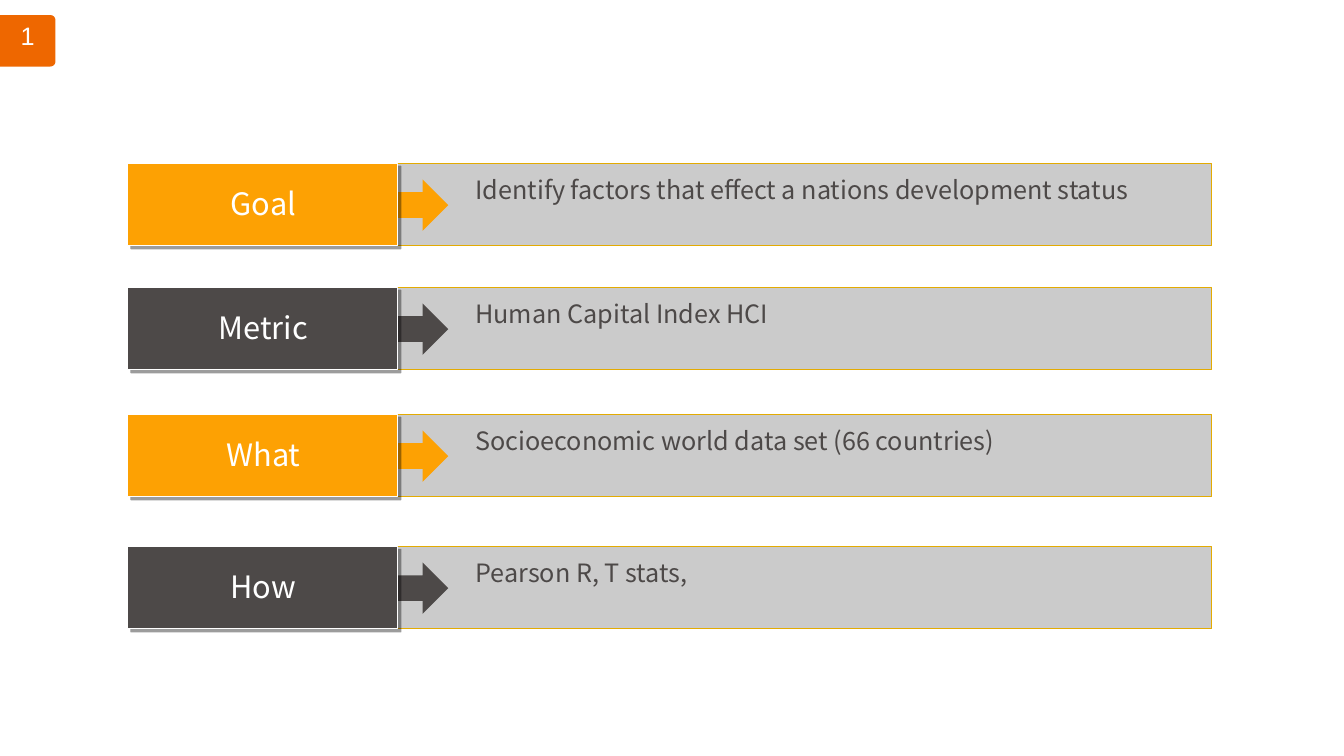
from dataclasses import dataclass
from math import cos, pi, sin

from lxml.etree import SubElement
from pptx import Presentation
from pptx.dml.color import RGBColor
from pptx.enum.shapes import MSO_SHAPE
from pptx.enum.text import MSO_ANCHOR, MSO_AUTO_SIZE, PP_ALIGN
from pptx.oxml.ns import qn
from pptx.util import Inches, Pt


@dataclass(frozen=True)
class Theme:
    """Colours, fonts and type sizes of the slide."""
    badge: str = "EE6700"
    amber: str = "FDA103"
    charcoal: str = "4D4948"
    bar: str = "CBCBCB"
    bar_edge: str = "E3AB02"
    white: str = "FFFFFF"
    shadow: str = "000000"
    number_font: str = "Arial"
    text_font: str = "Noto Sans CJK SC"
    label_size: int = 22
    body_size: int = 18
    edge_width: float = 0.75


THEME = Theme()

ROWS = [
    (1.62, "Goal", "Identify factors that effect a nations development status", THEME.amber),
    (2.85, "Metric", "Human Capital Index HCI", THEME.charcoal),
    (4.11, "What", "Socioeconomic world data set (66 countries)", THEME.amber),
    (5.42, "How", "Pearson R, T stats,", THEME.charcoal),
]


def paint(shape, fill, edge=None):
    """Give a shape a flat fill, an optional edge and no shadow."""
    shape.shadow.inherit = False
    shape.fill.solid()
    shape.fill.fore_color.rgb = RGBColor.from_string(fill)
    if edge:
        shape.line.color.rgb = RGBColor.from_string(edge)
        shape.line.width = Pt(THEME.edge_width)
    else:
        shape.line.fill.background()


def cast_shadow(shape):
    """Add a hard shadow towards the lower right."""
    effects = shape._element.spPr.find(qn("a:effectLst"))
    shadow = SubElement(effects, qn("a:outerShdw"), blurRad="0", dist=str(Pt(3)),
                        dir="2700000", algn="tl", rotWithShape="0")
    color = SubElement(shadow, qn("a:srgbClr"), val=THEME.shadow)
    SubElement(color, qn("a:alpha"), val="38000")


def write(frame, text, size, color, font, align):
    """Write one line of text into a frame."""
    frame.word_wrap = True
    frame.vertical_anchor = MSO_ANCHOR.TOP
    paragraph = frame.paragraphs[0]
    paragraph.alignment = align
    run = paragraph.add_run()
    run.text = text
    run.font.size = Pt(size)
    run.font.name = font
    run.font.color.rgb = RGBColor.from_string(color)


def add_block(slide, kind, left, top, width, height, fill, edge=None):
    """Place a painted preset shape."""
    block = slide.shapes.add_shape(kind, Inches(left), Inches(top), Inches(width), Inches(height))
    paint(block, fill, edge)
    return block


def add_caption(slide, left, top, width, height, text, size, color, align):
    """Place a text box that grows with its line of text."""
    caption = slide.shapes.add_textbox(Inches(left), Inches(top), Inches(width), Inches(height))
    write(caption.text_frame, text, size, color, THEME.text_font, align)
    caption.text_frame.auto_size = MSO_AUTO_SIZE.SHAPE_TO_FIT_TEXT


def add_number_badge(slide, left, top, width, height, number):
    """Draw the slide number on a tab rounded at its right corners."""
    radius, steps = 0.05, 8
    right, bottom = left + width, top + height
    corners = [(top + radius, -pi / 2), (bottom - radius, 0)]
    outline = [
        (right - radius + radius * cos(start + pi / 2 * step / steps),
         center + radius * sin(start + pi / 2 * step / steps))
        for center, start in corners for step in range(steps + 1)
    ]
    builder = slide.shapes.build_freeform(Inches(left), Inches(top))
    builder.add_line_segments([(Inches(x), Inches(y)) for x, y in outline + [(left, bottom)]])
    badge = builder.convert_to_shape()
    paint(badge, THEME.badge)
    write(badge.text_frame, number, THEME.body_size, THEME.white,
          THEME.number_font, PP_ALIGN.CENTER)


def add_row(slide, left, top, width, height, label, detail, accent):
    """Draw a labelled tab pointing at its detail bar."""
    tab_width, bar_offset = 2.68, 2.63
    add_block(slide, MSO_SHAPE.RECTANGLE, left + bar_offset, top, width - bar_offset, height,
              THEME.bar, THEME.bar_edge)
    add_block(slide, MSO_SHAPE.RIGHT_ARROW, left + 2.55, top + 0.16, 0.63, 0.51, accent)
    tab = add_block(slide, MSO_SHAPE.RECTANGLE, left, top, tab_width, height,
                    accent, THEME.white)
    cast_shadow(tab)
    add_caption(slide, left + 0.43, top + 0.16, 1.83, 0.47, label,
                THEME.label_size, THEME.white, PP_ALIGN.CENTER)
    add_caption(slide, left + 3.35, top + 0.06, 7.01, 0.4, detail,
                THEME.body_size, THEME.charcoal, PP_ALIGN.LEFT)


def main():
    """Build and save the slide."""
    deck = Presentation()
    deck.slide_width, deck.slide_height = Inches(13.34), Inches(7.5)
    slide = deck.slides.add_slide(deck.slide_layouts[6])
    add_number_badge(slide, 0, 0.15, 0.55, 0.51, "1")
    for top, label, detail, accent in ROWS:
        add_row(slide, 1.27, top, 10.76, 0.82, label, detail, accent)
    deck.save("out.pptx")


if __name__ == "__main__":
    main()
